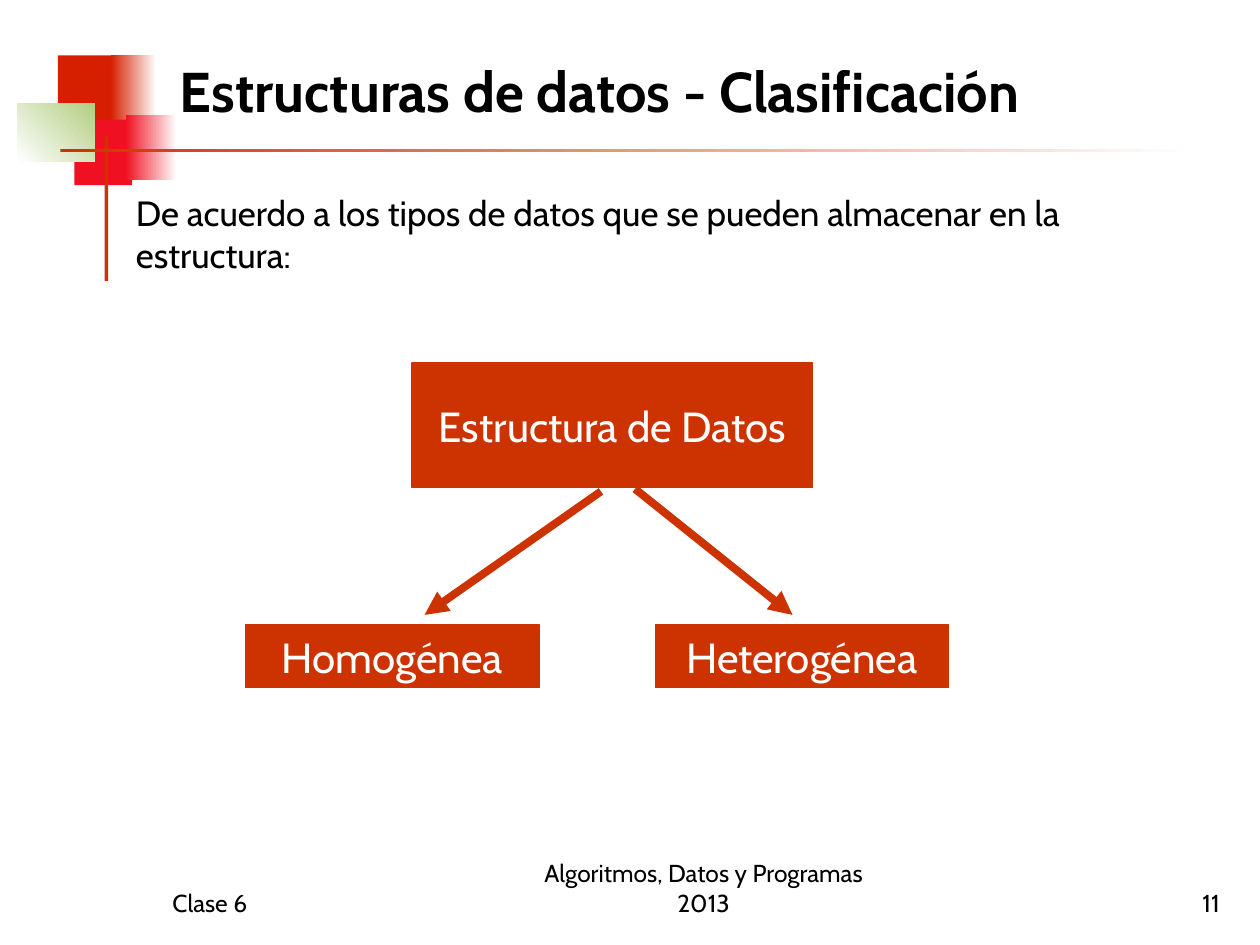
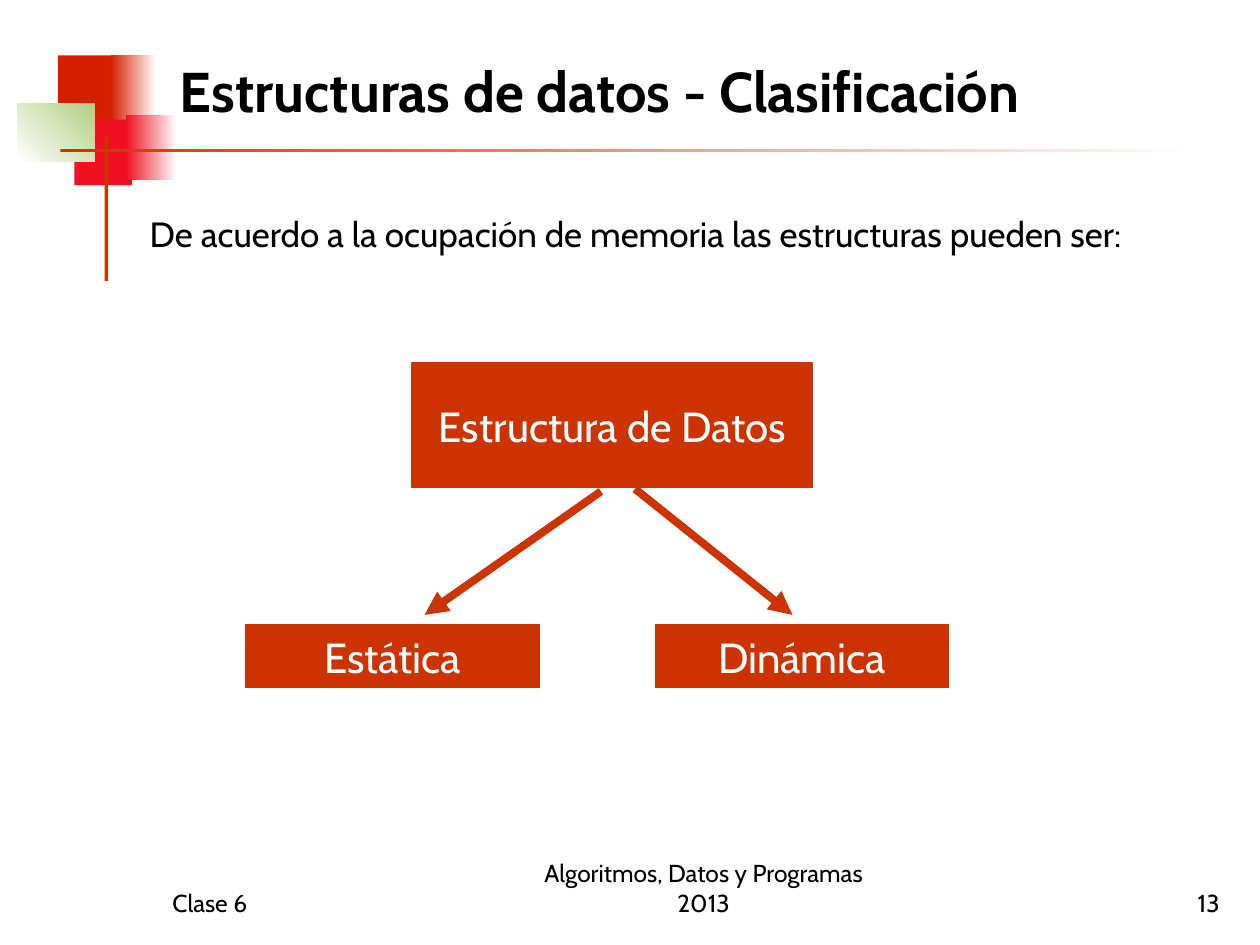
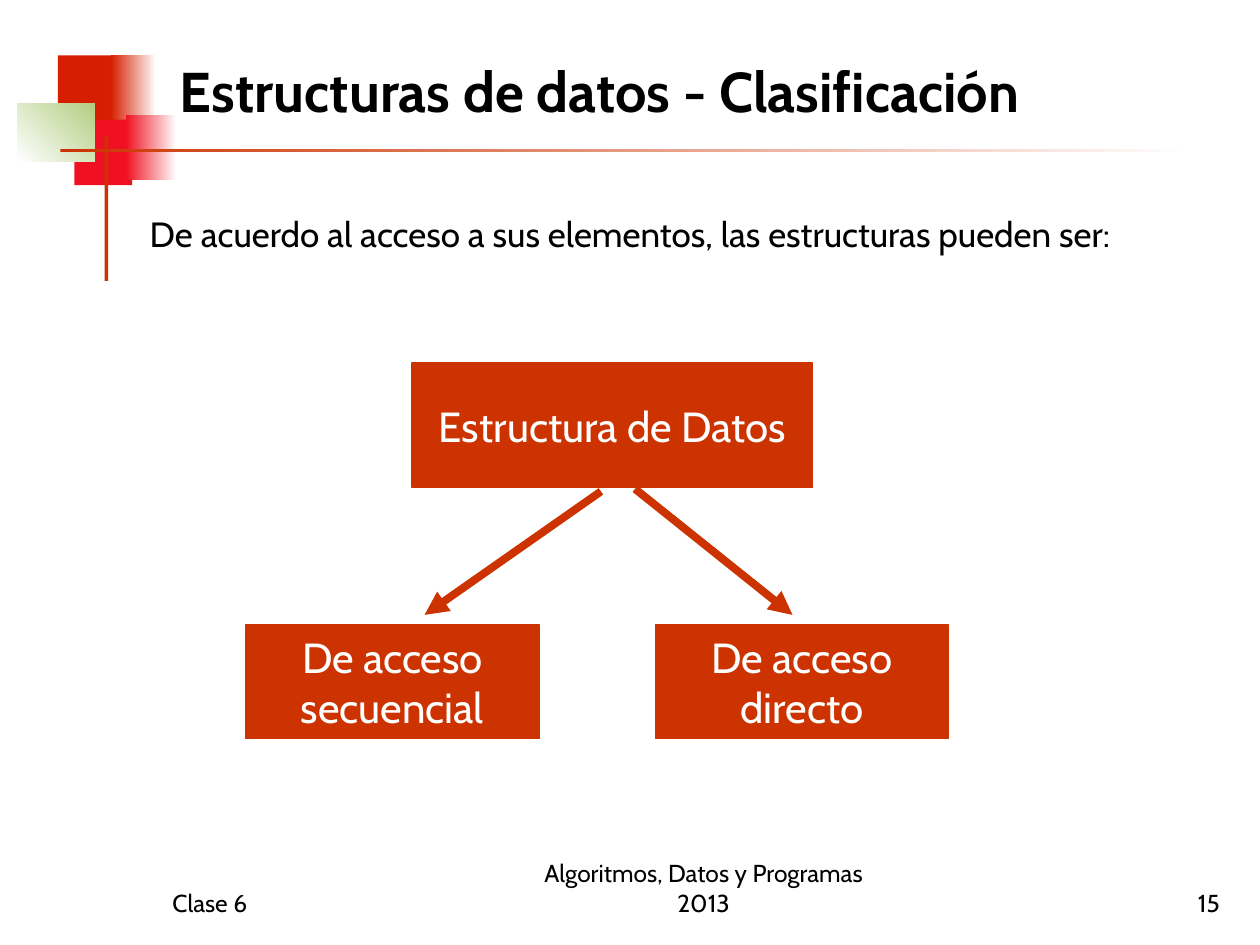
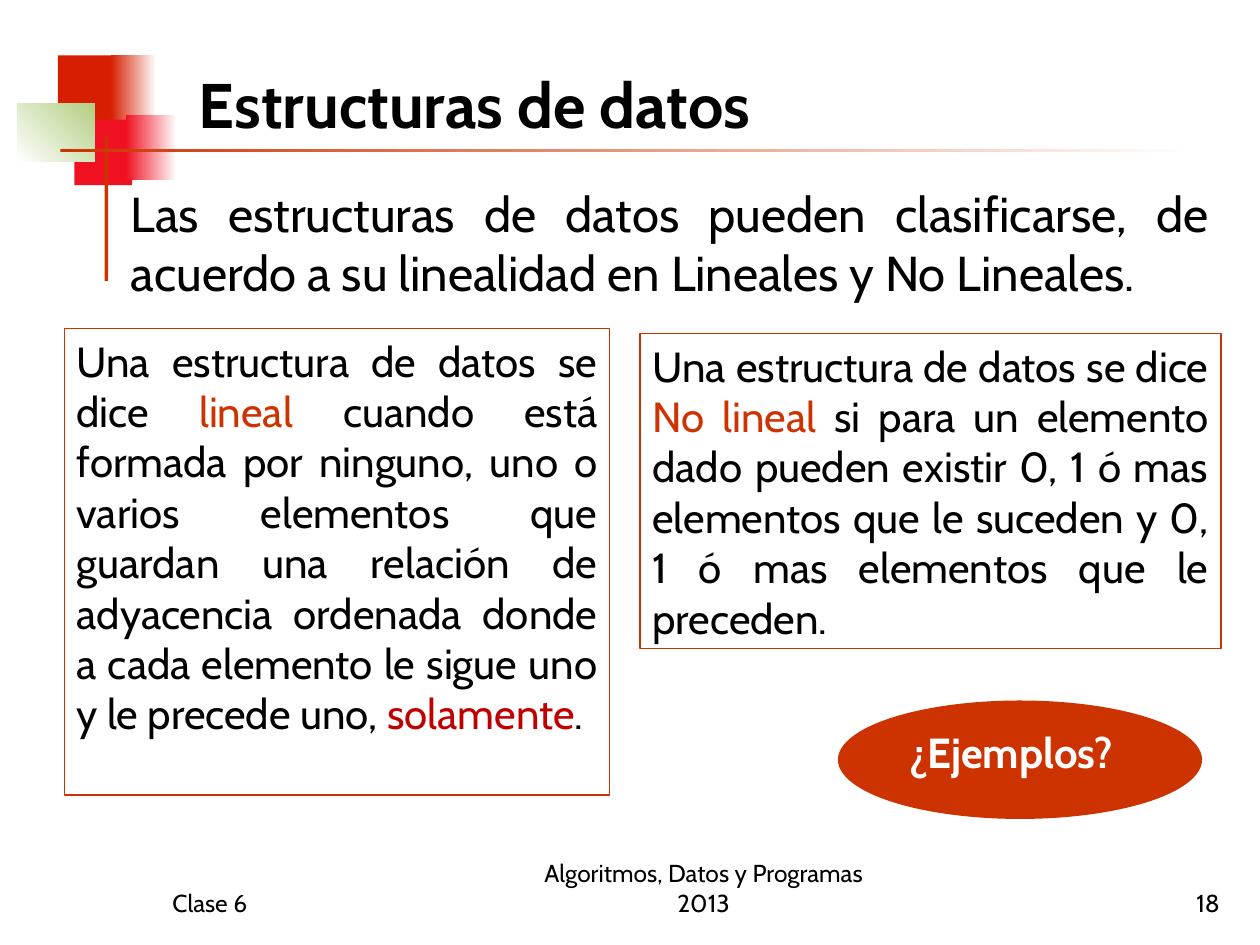
from lxml import etree
from pptx import Presentation
from pptx.dml.color import RGBColor
from pptx.enum import shapes, text
from pptx.oxml import ns
from pptx.util import Inches, Pt

BLACK = RGBColor(0x00, 0x00, 0x00)
WHITE = RGBColor(0xFF, 0xFF, 0xFF)
RUST = RGBColor(0xCC, 0x33, 0x00)
BRICK = RGBColor(0xD6, 0x1F, 0x00)
RED = RGBColor(0xEF, 0x11, 0x21)
GREEN = RGBColor(0xB3, 0xCE, 0x82)
WINE = RGBColor(0xC0, 0x00, 0x00)

RECT = shapes.MSO_SHAPE.RECTANGLE
OVAL = shapes.MSO_SHAPE.OVAL
LEFT, MID, RIGHT, JUST = (
    text.PP_ALIGN.LEFT, text.PP_ALIGN.CENTER, text.PP_ALIGN.RIGHT, text.PP_ALIGN.JUSTIFY)
TOP, CENTER, BASE = (
    text.MSO_ANCHOR.TOP, text.MSO_ANCHOR.MIDDLE, text.MSO_ANCHOR.BOTTOM)


class Deck:
    """Holds the shared style and draws on the current slide."""

    font = "Cabin"
    motif = [
        ((0.46, 0.44, 0.48, 0.52), BRICK, None, 0),
        ((0.88, 0.44, 0.36, 0.52), BRICK, WHITE, 0),
        ((0.59, 0.95, 0.46, 0.52), RED, None, 0),
        ((1.00, 0.91, 0.40, 0.52), RED, WHITE, 0),
        ((0.14, 0.82, 0.61, 0.46), WHITE, GREEN, 45),
        ((0.83, 1.08, 0.03, 1.15), RUST, None, 0),
        ((0.48, 1.18, 9.00, 0.03), RUST, WHITE, 0),
    ]

    def __init__(self):
        self.prs = Presentation()
        self.prs.slide_width, self.prs.slide_height = Inches(10), Inches(7.5)
        self.slide = None

    def start(self, title, spot, size, page):
        self.slide = self.prs.slides.add_slide(self.prs.slide_layouts[6])
        for place, fill, fade, angle in self.motif:
            self.shape(place, fill, fade=fade, angle=angle)
        self.label(spot, title, size, anchor=BASE, bold=True)
        self.label((7.7, 6.83, 2.08, 0.5), str(page), 14, RIGHT, BASE)
        self.label((1.27, 6.83, 2.08, 0.5), "Clase 6", 14, LEFT, BASE)
        self.label((4, 6.83, 3.17, 0.5), "Algoritmos, Datos y Programas 2013", 14, MID, BASE)

    def shape(self, place, fill=None, line=None, kind=RECT, fade=None, angle=0):
        item = self.slide.shapes.add_shape(kind, *map(Inches, place))
        item.shadow.inherit = False
        if fade is not None:
            item.fill.gradient()
            item.fill.gradient_angle = angle
            for stop, tone in zip(item.fill.gradient_stops, (fill, fade)):
                stop.color.rgb = tone
        elif fill is not None:
            item.fill.solid()
            item.fill.fore_color.rgb = fill
        else:
            item.fill.background()
        if line is not None:
            item.line.color.rgb = line
            item.line.width = Pt(0.75)
        else:
            item.line.fill.background()
        return item

    def letter(self, item, runs, size, align=LEFT, anchor=TOP, color=BLACK, bold=False):
        frame = item.text_frame
        frame.word_wrap = True
        frame.vertical_anchor = anchor
        para = frame.paragraphs[0]
        para.alignment = align
        if isinstance(runs, str):
            runs = [(runs, color)]
        for words, tone in runs:
            run = para.add_run()
            run.text = words
            run.font.name = self.font
            run.font.size = Pt(size)
            run.font.bold = bold
            run.font.color.rgb = tone

    def label(self, place, runs, size, align=LEFT, anchor=TOP, color=BLACK, bold=False):
        item = self.slide.shapes.add_textbox(*map(Inches, place))
        self.letter(item, runs, size, align, anchor, color, bold)

    def block(self, place, words, anchor=TOP):
        self.letter(self.shape(place, RUST, RUST), words, 24, MID, anchor, WHITE)

    def panel(self, place, runs):
        self.letter(self.shape(place, line=RUST), runs, 24, JUST)

    def arrow(self, start, end):
        item = self.slide.shapes.add_connector(
            shapes.MSO_CONNECTOR.STRAIGHT, *map(Inches, start + end))
        item.line.color.rgb = RUST
        item.line.width = Pt(4.5)
        etree.SubElement(item.line._get_or_add_ln(), ns.qn("a:tailEnd"), type="triangle")
        etree.SubElement(item._element.spPr, ns.qn("a:effectLst"))

    def tree(self, page, intro, spot, kinds, height):
        self.start("Estructuras de datos - Clasificación", (1.33, 0.43, 8.05, 0.6), 32, page)
        self.block((3.27, 2.88, 3.18, 0.99), "Estructura de Datos", CENTER)
        self.arrow((4.77, 3.9), (3.37, 4.88))
        self.arrow((5.04, 3.88), (6.29, 4.88))
        for left, kind in zip((1.95, 5.2), kinds):
            self.block((left, 4.96, 2.33, height), kind)
        self.label(spot + (8.67, 0.77), intro, 20)


def main():
    deck = Deck()
    deck.tree(11, "De acuerdo a los tipos de datos que se pueden almacenar en la estructura:",
              (0.98, 1.47), ("Homogénea", "Heterogénea"), 0.5)
    deck.tree(13, "De acuerdo a la ocupación de memoria las estructuras pueden ser:",
              (1.09, 1.64), ("Estática", "Dinámica"), 0.5)
    deck.tree(15, "De acuerdo al acceso a sus elementos, las estructuras pueden ser:",
              (1.09, 1.64), ("De acceso secuencial", "De acceso directo"), 0.9)

    deck.start("Estructuras de datos", (1.48, -0.08, 7.42, 1.25), 36, 18)
    opening = ("Una estructura de datos se dice ", BLACK)
    deck.panel((0.51, 2.61, 4.33, 3.7), [
        opening,
        ("lineal ", RUST),
        ("cuando está formada por ninguno, uno o varios elementos que guardan una "
         "relación de adyacencia ordenada donde a cada elemento le sigue uno y le "
         "precede uno, ", BLACK),
        ("solamente", WINE),
        (".", BLACK),
    ])
    deck.panel((5.08, 2.65, 4.61, 2.5), [
        opening,
        ("No lineal ", RUST),
        ("si para un elemento dado pueden existir 0, 1 ó mas elementos que le "
         "suceden y 0, 1 ó mas elementos que le preceden.", BLACK),
    ])
    deck.label((0.94, 1.41, 8.75, 1.5),
               "Las estructuras de datos pueden clasificarse, de acuerdo a su linealidad "
               "en Lineales y No Lineales.", 28, JUST)
    deck.shape((6.65, 5.56, 2.89, 0.94), RUST, kind=OVAL)
    deck.label((7.12, 5.72, 2.97, 0.5), "¿Ejemplos?", 24, color=WHITE, bold=True)
    deck.prs.save("out.pptx")


if __name__ == "__main__":
    main()
